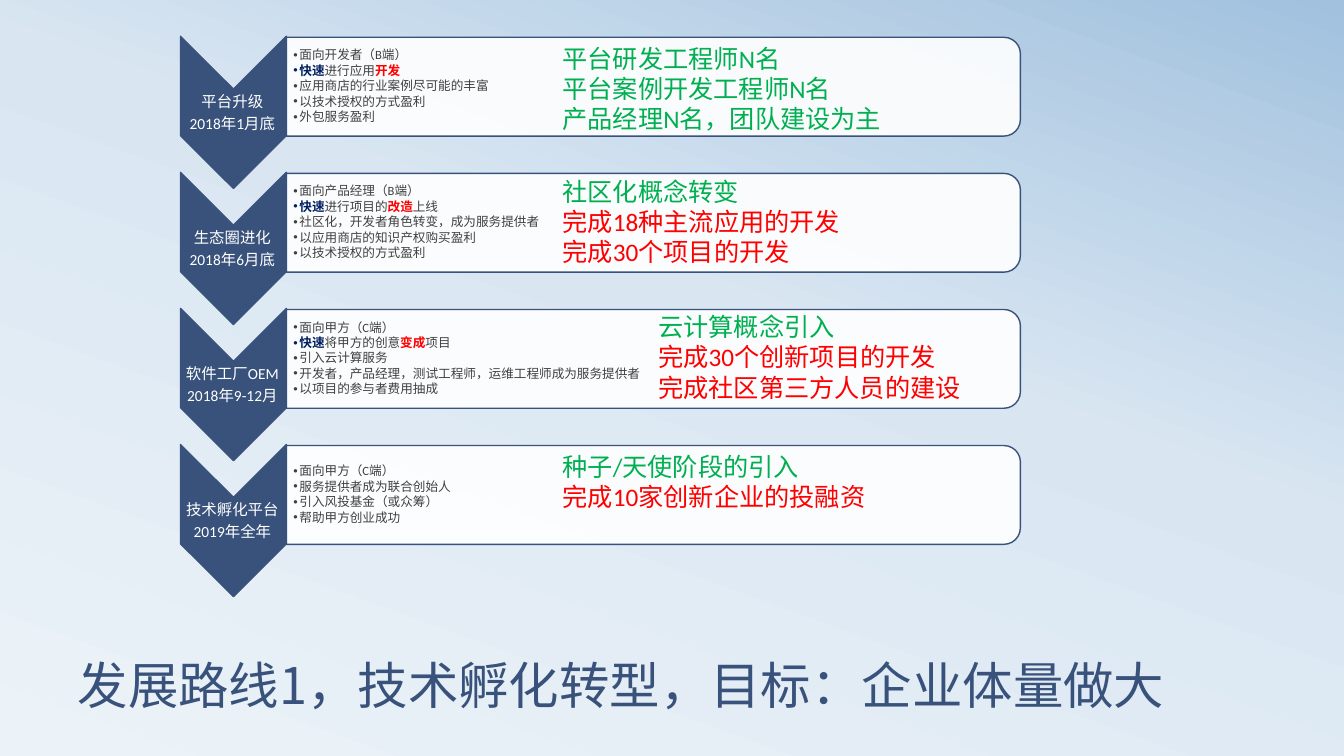
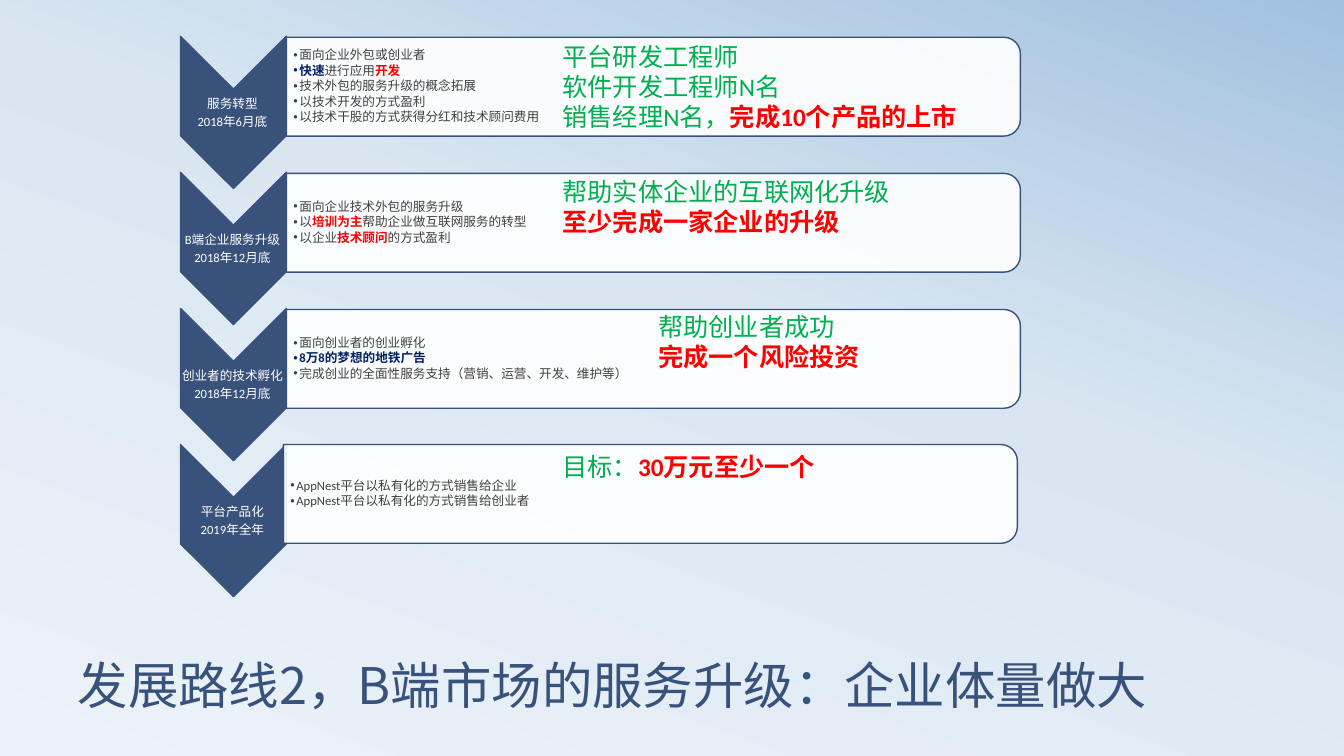
from copy import deepcopy
from lxml.etree import SubElement
from pptx import Presentation
from pptx.dml.color import RGBColor
from pptx.enum.shapes import MSO_SHAPE as SHAPE
from pptx.enum.text import MSO_ANCHOR as ANCHOR, MSO_AUTO_SIZE as AUTO, PP_ALIGN as ALIGN
from pptx.oxml.ns import qn
from pptx.util import Inches, Pt

BLUE, NAVY, RED, GREEN = "39527B", "002060", "FF0000", "00B050"
GRAY, WHITE = "404040", "FFFFFF"
BODY, HEAD = "Calibri", "Noto Sans CJK SC"
PITCH = 1.35


def paint(target, color):
    if hasattr(target, "solid"):
        target.solid()
        target = target.fore_color
    target.rgb = RGBColor.from_string(color)


def write(tf, lines, size, color, font=BODY, spacing=None, after=0, align=ALIGN.LEFT):
    for i, line in enumerate(lines):
        p = tf.paragraphs[0] if i == 0 else tf.add_paragraph()
        p.alignment = align
        p.line_spacing = spacing
        p.space_after = Pt(after)
        for part in [line] if isinstance(line, str) else line:
            text, tint, bold = (part, color, False) if isinstance(part, str) else part
            r = p.add_run()
            r.text = text
            r.font.size = Pt(size)
            r.font.bold = bold
            r.font.name = font
            paint(r.font.color, tint)
            SubElement(r.font._element, qn("a:ea"), typeface=font)


slides = [
    {
        "title": "发展路线1，技术孵化转型，目标：企业体量做大",
        "label_size": 11,
        "rows": [
            {
                "label": ["平台升级", "2018年1月底"],
                "points": ["面向开发者（B端）",
                           [("快速", NAVY, True), "进行应用", ("开发", RED, True)],
                           "应用商店的行业案例尽可能的丰富",
                           "以技术授权的方式盈利",
                           "外包服务盈利"],
                "note_at": (5.48, 0.38),
                "note": ["平台研发工程师N名", "平台案例开发工程师N名", "产品经理N名，团队建设为主"],
            },
            {
                "label": ["生态圈进化", "2018年6月底"],
                "points": ["面向产品经理（B端）",
                           [("快速", NAVY, True), "进行项目的", ("改造", RED, True), "上线"],
                           "社区化，开发者角色转变，成为服务提供者",
                           "以应用商店的知识产权购买盈利",
                           "以技术授权的方式盈利"],
                "note_at": (5.48, 1.7),
                "note": ["社区化概念转变",
                         [("完成18种主流应用的开发", RED, False)],
                         [("完成30个项目的开发", RED, False)]],
            },
            {
                "label": ["软件工厂OEM", "2018年9-12月"],
                "points": ["面向甲方（C端）",
                           [("快速", NAVY, True), "将甲方的创意", ("变成", RED, True), "项目"],
                           "引入云计算服务",
                           "开发者，产品经理，测试工程师，运维工程师成为服务提供者",
                           "以项目的参与者费用抽成"],
                "note_at": (6.43, 3.04),
                "note": ["云计算概念引入",
                         [("完成30个创新项目的开发", RED, False)],
                         [("完成社区第三方人员的建设", RED, False)]],
            },
            {
                "label": ["技术孵化平台", "2019年全年"],
                "points": ["面向甲方（C端）",
                           "服务提供者成为联合创始人",
                           "引入风投基金（或众筹）",
                           "帮助甲方创业成功"],
                "note_at": (5.48, 4.43),
                "note": ["种子/天使阶段的引入", [("完成10家创新企业的投融资", RED, False)]],
            },
        ],
    },
    {
        "title": "发展路线2，B端市场的服务升级：企业体量做大",
        "label_size": 9,
        "rows": [
            {
                "label": ["服务转型", "2018年6月底"],
                "points": ["面向企业外包或创业者",
                           [("快速", NAVY, True), "进行应用", ("开发", RED, True)],
                           "技术外包的服务升级的概念拓展",
                           "以技术开发的方式盈利",
                           "以技术干股的方式获得分红和技术顾问费用"],
                "note_at": (5.48, 0.36),
                "note": ["平台研发工程师", "软件开发工程师N名",
                         ["销售经理N名，", ("完成10个产品的上市", RED, True)]],
            },
            {
                "label": ["B端企业服务升级", "2018年12月底"],
                "points": ["面向企业技术外包的服务升级",
                           ["以", ("培训为主", RED, True), "帮助企业做互联网服务的转型"],
                           ["以企业", ("技术顾问", RED, True), "的方式盈利"]],
                "note_at": (5.48, 1.7),
                "note": ["帮助实体企业的互联网化升级", [("至少完成一家企业的升级", RED, True)]],
            },
            {
                "label": ["创业者的技术孵化", "2018年12月底"],
                "points": ["面向创业者的创业孵化",
                           [("8万8的梦想的地铁广告", NAVY, True)],
                           "完成创业的全面性服务支持（营销、运营、开发、维护等）"],
                "note_at": (6.43, 3.04),
                "note": ["帮助创业者成功", [("完成一个风险投资", RED, True)]],
            },
            {
                "label": ["平台产品化", "2019年全年"],
                "points": ["AppNest平台以私有化的方式销售给企业",
                           "AppNest平台以私有化的方式销售给创业者"],
                "shift": (-0.03, -0.01),
                "note_at": (5.48, 4.43),
                "note": [["目标：", ("30万元至少一个", RED, True)]],
            },
        ],
    },
]

prs = Presentation()
prs.slide_width, prs.slide_height = Inches(13.33), Inches(7.5)

master = prs.slide_master
fill = master.background.fill
fill.gradient()
fill.gradient_angle = 70
stops = master.element.find(".//" + qn("a:gsLst"))
stops.append(deepcopy(stops[0]))
for stop, (pos, color) in zip(fill.gradient_stops, [(0, "ECF3F8"), (0.58, "D9E6F2"), (1, "A1C1DE")]):
    stop.position = pos
    paint(stop.color, color)

layout = prs.slide_layouts[5]
title = layout.placeholders[0]
title.left, title.top, title.width, title.height = map(Inches, (0.67, 5.97, 12, 1.17))
title.text_frame.vertical_anchor = ANCHOR.BOTTOM
title.text_frame.auto_size = AUTO.NONE

for page in slides:
    s = prs.slides.add_slide(layout)
    write(s.shapes.title.text_frame, [page["title"]], 36, BLUE, HEAD, 0.8)

    for i, row in enumerate(page["rows"]):
        y = i * PITCH
        dx, dy = row.get("shift", (0, 0))

        chevron = s.shapes.add_shape(SHAPE.CHEVRON, *map(Inches, (1.56, 0.59 + y, 1.51, 1.05)))
        card = s.shapes.add_shape(SHAPE.ROUND_2_SAME_RECTANGLE,
                                  *map(Inches, (5.99 + dx, -2.78 + y + dy, 0.98, 7.28)))
        for sp, color in ((chevron, BLUE), (card, WHITE)):
            sp.rotation = 90
            sp.shadow.inherit = False
            paint(sp.fill, color)
            paint(sp.line.fill, BLUE)
            sp.line.width = Pt(1)
        white = card.element.spPr.find(qn("a:solidFill"))[0]
        SubElement(white, qn("a:alpha"), val="90000")

        label = s.shapes.add_textbox(*map(Inches, (1.78, 0.9 + y, 1.05, 0.45))).text_frame
        points = s.shapes.add_textbox(*map(Inches, (2.84 + dx, 0.42 + y + dy, 7.23, 0.88))).text_frame
        for tf, left in ((label, 0.01), (points, 0.07)):
            tf.word_wrap = True
            tf.vertical_anchor = ANCHOR.MIDDLE
            tf.margin_left = Inches(left)
            tf.margin_top = tf.margin_right = tf.margin_bottom = Inches(0.01)
        size = page["label_size"]
        write(label, row["label"], size, WHITE, spacing=0.9, after=size * 0.32, align=ALIGN.CENTER)
        write(points, row["points"], 9, GRAY, spacing=0.9, after=1.3)
        for p in points.paragraphs:
            pPr = p._p.get_or_add_pPr()
            pPr.set("marL", str(Inches(0.06)))
            pPr.set("indent", str(-Inches(0.06)))
            SubElement(pPr, qn("a:buFont"), typeface="Arial")
            SubElement(pPr, qn("a:buChar"), char="•")

        height = 0.1 + 0.3 * len(row["note"])
        note = s.shapes.add_textbox(*map(Inches, (*row["note_at"], 4.41, height))).text_frame
        note.word_wrap = True
        note.auto_size = AUTO.SHAPE_TO_FIT_TEXT
        write(note, row["note"], 18, GREEN)

prs.save("out.pptx")
